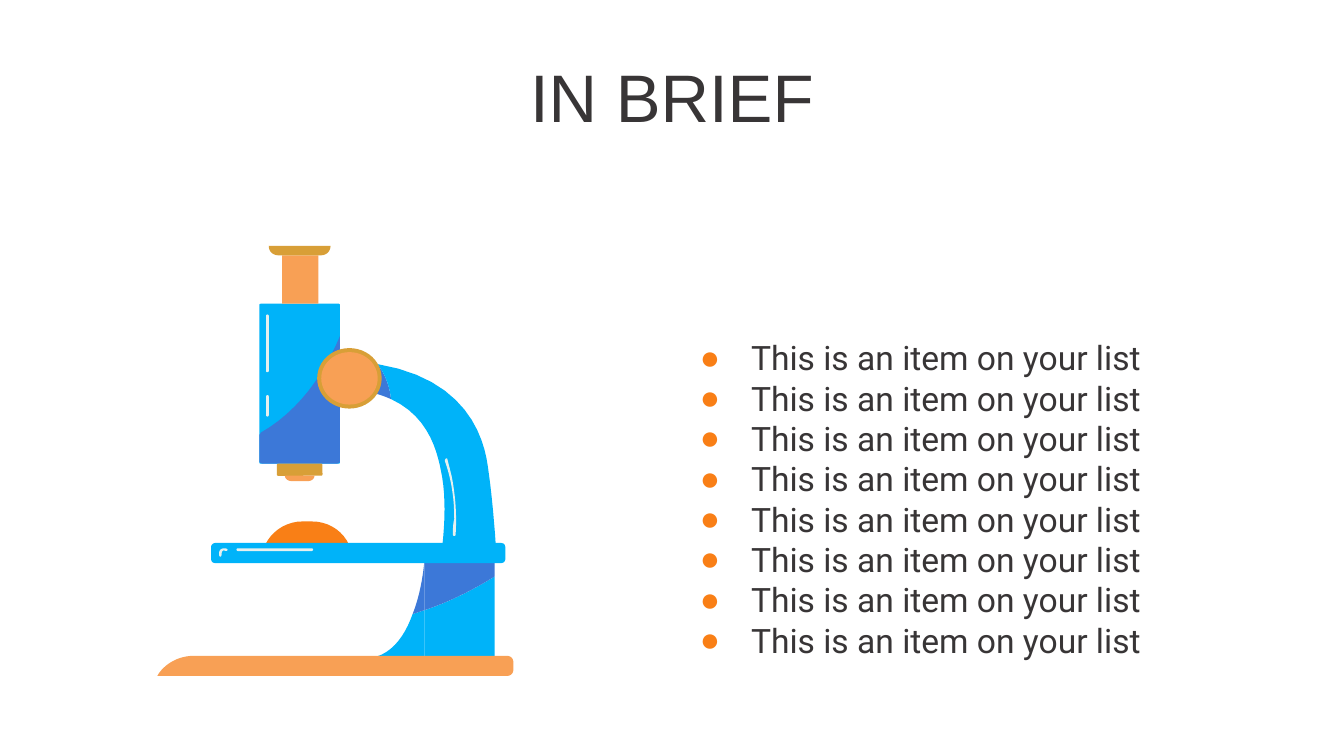
from lxml import etree
from pptx import Presentation
from pptx.dml.color import RGBColor
from pptx.enum.shapes import MSO_SHAPE
from pptx.enum.text import MSO_ANCHOR, MSO_AUTO_SIZE, PP_ALIGN
from pptx.oxml.ns import qn
from pptx.util import Inches, Pt

RECT, ROUND, OVAL = MSO_SHAPE.RECTANGLE, MSO_SHAPE.ROUNDED_RECTANGLE, MSO_SHAPE.OVAL
TOP, CENTER, FIXED = MSO_ANCHOR.TOP, PP_ALIGN.CENTER, MSO_AUTO_SIZE.NONE
SKY, NAVY, PEACH, GOLD = "00B3F9", "3C78D8", "F8A055", "D89F37"
ORANGE, SHINE, INK = "F97F16", "E6F0EF", "383536"
UNIT = 0.01
STEPS = 12

LEG = [
    (SKY, [(251, 246), (235, 256, 217, 265, 199, 271), (199, 308), (251, 308)]),
    (NAVY, [(199, 231), (199, 271), (217, 265, 235, 256, 251, 246), (251, 231)]),
    (SKY, [(199, 271), (196, 272, 193, 273, 190, 274),
           (184, 291, 173, 307, 154, 307), (199, 307)]),
    (NAVY, [(199, 231), (199, 231, 198, 254, 190, 274),
            (193, 273, 196, 272, 199, 271)]),
]
SAMPLE = [
    (ORANGE, [(108, 205), (92, 205, 78, 218, 78, 233), (145, 233),
              (145, 218, 132, 205, 115, 205)]),
]
ARM = [
    (NAVY, [(129, 85), (131, 106), (149, 106, 163, 109, 174, 114),
            (173, 105, 170, 96, 164, 88), (153, 86, 142, 85, 131, 85)]),
    (SKY, [(164, 88), (170, 96, 173, 105, 174, 114), (204, 128, 209, 156, 212, 172),
           (216, 195, 212, 224, 212, 224), (252, 224),
           (252, 224, 250, 191, 246, 164), (243, 142, 230, 99, 164, 88)]),
]
BARREL = [
    (SKY, ROUND, (76, 43, 60, 119), 1),
    (NAVY, [(136, 67), (124, 96, 105, 123, 77, 139), (77, 140, 76, 140, 76, 141),
            (76, 160), (76, 161, 77, 162, 79, 162), (133, 162),
            (135, 162, 136, 161, 136, 160)]),
    (GOLD, ROUND, (89, 162, 34, 9), 1),
    (PEACH, [(95, 171), (95, 173, 97, 175, 100, 175), (112, 175),
             (115, 175, 117, 173, 117, 171)]),
]
KNOB = [(GOLD, OVAL, (119, 76, 48, 45), 0), (PEACH, OVAL, (122, 79, 42, 39), 0)]
EYE = [
    (PEACH, RECT, (93, 7, 27, 36), 0),
    (GOLD, [(83, 0), (83, 4, 86, 7, 90, 7), (122, 7), (126, 7, 129, 4, 129, 0)]),
]
BASE = [
    (SKY, ROUND, (40, 221, 219, 15), 3),
    (PEACH, [(27, 305), (16, 305, 5, 311, 0, 320), (260, 320),
             (263, 320, 265, 318, 265, 315), (265, 310),
             (265, 307, 263, 305, 260, 305)]),
]
GLINTS = [
    (SHINE, ROUND, (81, 111, 2, 16), 1),
    (SHINE, ROUND, (81, 51, 2, 43), 1),
    (SHINE, [(50, 225), (47, 225, 46, 227, 46, 229), (46, 232, 48, 232, 48, 229),
             (48, 227, 49, 226, 51, 227), (53, 227, 53, 225, 50, 225)]),
    (SHINE, ROUND, (59, 225, 57, 2), 1),
    (SHINE, [(215, 158), (215, 158, 214, 159, 214, 160),
             (219, 174, 221, 188, 221, 203), (220, 207, 220, 211, 220, 215),
             (220, 216, 222, 216, 222, 215), (223, 201, 222, 186, 219, 171),
             (218, 167, 217, 163, 216, 159), (216, 159, 216, 158, 215, 158)]),
]
PARTS = LEG + SAMPLE + ARM + BARREL + KNOB + EYE + BASE + GLINTS


def paint(color):
    return RGBColor.from_string(color)


def trace(path):
    points = [path[0]]
    for step in path[1:]:
        if len(step) == 2:
            points.append(step)
            continue
        axes = list(zip(points[-1], step[0:2], step[2:4], step[4:6]))
        for i in range(1, STEPS + 1):
            t = i / STEPS
            u = 1 - t
            points.append(tuple(
                a * u**3 + 3 * b * u * u * t + 3 * c * u * t * t + d * t**3
                for a, b, c, d in axes))
    return points


def draw_scope(slide, left, top):
    shapes = slide.shapes.add_group_shape().shapes

    def place(x, y):
        return Inches(left + x * UNIT), Inches(top + y * UNIT)

    for color, form, *rest in PARTS:
        if isinstance(form, list):
            points = [place(*point) for point in trace(form)]
            pen = shapes.build_freeform(*points[0])
            pen.add_line_segments(points[1:], close=True)
            shape = pen.convert_to_shape()
        else:
            (x, y, wide, high), curve = rest
            shape = shapes.add_shape(
                form, *place(x, y), Inches(wide * UNIT), Inches(high * UNIT))
            if form == ROUND:
                shape.adjustments[0] = curve / min(wide, high)
        shape.shadow.inherit = False
        shape.fill.solid()
        shape.fill.fore_color.rgb = paint(color)
        shape.line.fill.background()


def set_frame(shape, inset):
    frame = shape.text_frame
    frame.word_wrap = True
    frame.auto_size = FIXED
    frame.vertical_anchor = TOP
    frame.margin_left = frame.margin_right = frame.margin_bottom = Inches(0.1)
    frame.margin_top = Inches(inset)
    return frame


def add_run(para, text, font, size):
    run = para.add_run()
    run.text = text
    run.font.name = font
    run.font.size = Pt(size)
    run.font.color.rgb = paint(INK)


def set_title(slide, left, top, width, height):
    title = slide.shapes.title
    title.left, title.top = Inches(left), Inches(top)
    title.width, title.height = Inches(width), Inches(height)
    para = set_frame(title, 0.1).paragraphs[0]
    para.alignment = CENTER
    add_run(para, "IN BRIEF", "Arial", 36)


def add_bullet(para):
    props = para._p.get_or_add_pPr()
    props.set("marL", str(Inches(0.5)))
    props.set("indent", str(Inches(-0.38)))
    tint = etree.SubElement(props, qn("a:buClr"))
    etree.SubElement(tint, qn("a:srgbClr"), val=ORANGE)
    etree.SubElement(props, qn("a:buFont"), typeface="Arial")
    etree.SubElement(props, qn("a:buChar"), char="●")


def add_list(slide, left, top, width, height):
    box = slide.shapes.add_textbox(
        Inches(left), Inches(top), Inches(width), Inches(height))
    frame = set_frame(box, 0.41)
    for i in range(8):
        para = frame.add_paragraph() if i else frame.paragraphs[0]
        add_bullet(para)
        add_run(para, "This is an item on your list", "Roboto", 18)


def main():
    deck = Presentation()
    deck.slide_width = Inches(10)
    deck.slide_height = deck.slide_width * 9 // 16
    slide = deck.slides.add_slide(deck.slide_layouts[5])
    set_title(slide, 2.65, 0.31, 4.7, 0.69)
    add_list(slide, 4.99, 2.1, 4.26, 2.65)
    draw_scope(slide, 1.17, 1.83)
    deck.save("out.pptx")


if __name__ == "__main__":
    main()
